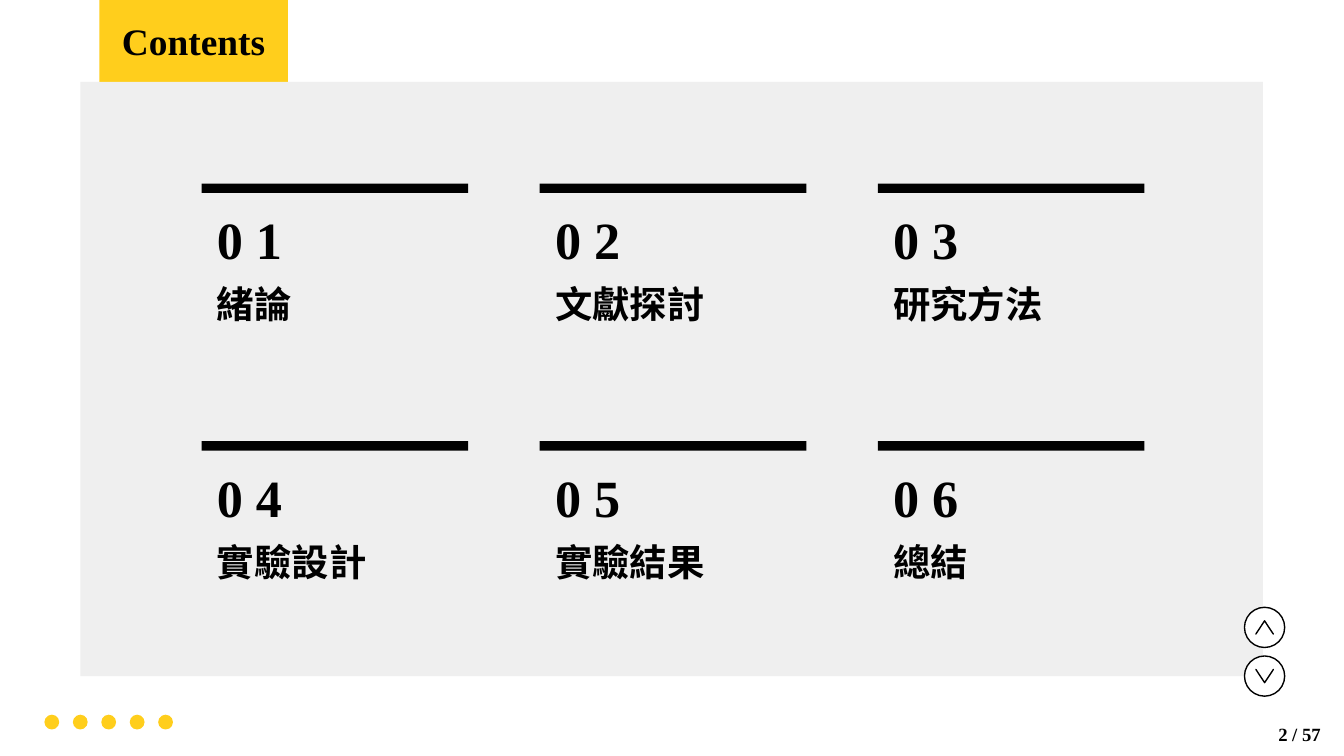
from pptx import Presentation
from pptx import util as u
from pptx.dml.color import RGBColor
from pptx.enum import shapes, text

COLORS = {"panel": "EFEFEF", "accent": "FFCE1C", "ink": "000000", "paper": "FFFFFF"}
FONT = "Times New Roman"
CHAPTERS = ["緒論", "文獻探討", "研究方法", "實驗設計", "實驗結果", "總結"]


def color(name):
    return RGBColor.from_string(COLORS[name])


def cm_box(box):
    return [u.Cm(length) for length in box]


def add_block(slide, kind, box, fill, outline=None):
    block = slide.shapes.add_shape(kind, *cm_box(box))
    block.shadow.inherit = False
    block.fill.solid()
    block.fill.fore_color.rgb = color(fill)
    if outline:
        block.line.color.rgb = color(outline)
        block.line.width = u.Pt(0.75)
    else:
        block.line.fill.background()
    return block


def write(holder, words, size, align=text.PP_ALIGN.LEFT,
          anchor=text.MSO_ANCHOR.TOP, inset=0.25, wrap=True):
    frame = holder.text_frame
    frame.word_wrap = wrap
    frame.auto_size = text.MSO_AUTO_SIZE.NONE
    frame.vertical_anchor = anchor
    frame.margin_left = frame.margin_right = u.Cm(0.25)
    frame.margin_top = frame.margin_bottom = u.Cm(inset)
    paragraph = frame.paragraphs[0]
    paragraph.alignment = align
    run = paragraph.add_run()
    run.text = words
    run.font.name = FONT
    run.font.size = u.Pt(size)
    run.font.bold = True
    run.font.color.rgb = color("ink")


def add_heading(slide, box):
    heading = slide.shapes.title
    heading.left, heading.top, heading.width, heading.height = cm_box(box)
    heading.fill.solid()
    heading.fill.fore_color.rgb = color("accent")
    write(heading, "Contents", 20, align=text.PP_ALIGN.CENTER,
          anchor=text.MSO_ANCHOR.MIDDLE)


def add_dots(slide, box, count=5):
    left, top, width, size = box
    step = (width - size) / (count - 1)
    for i in range(count):
        add_block(slide, shapes.MSO_SHAPE.OVAL,
                  (left + i * step, top, size, size), "accent")


def add_chapter(slide, box, number, name):
    left, top, width, height = box
    add_block(slide, shapes.MSO_SHAPE.RECTANGLE, (left, top, width, 0.18), "ink")
    number_box = slide.shapes.add_textbox(*cm_box((left + 0.04, top + 0.54, width, 1.35)))
    write(number_box, f"0 {number}", 28, anchor=text.MSO_ANCHOR.BOTTOM)
    name_box = slide.shapes.add_textbox(
        *cm_box((left + 0.04, top + 1.6, width, height - 1.6)))
    write(name_box, name, 20)


def add_chapters(slide, box, columns=3, rows=2):
    left, top, width, height = box
    cell_width, cell_height = 5.04, 4.04
    step_x = (width - cell_width) / (columns - 1)
    step_y = (height - cell_height) / (rows - 1)
    for i, name in enumerate(CHAPTERS):
        row, column = divmod(i, columns)
        cell = (left + column * step_x, top + row * step_y, cell_width, cell_height)
        add_chapter(slide, cell, i + 1, name)


def add_page_buttons(slide, box):
    left, top, size, height = box
    for y, turn in ((top, 270), (top + height - size, 90)):
        button = add_block(slide, shapes.MSO_SHAPE.ROUNDED_RECTANGLE,
                           (left, y, size, size), "paper", "ink")
        button.adjustments[0] = 0.5
        arrow_width, arrow_height = 0.25, 0.33
        arrow = add_block(slide, shapes.MSO_SHAPE.CHEVRON,
                          (left + (size - arrow_width) / 2, y + (size - arrow_height) / 2,
                           arrow_width, arrow_height), "ink", "ink")
        arrow.adjustments[0] = 2
        arrow.rotation = turn


def add_page_number(slide, box):
    page_number = slide.shapes.add_textbox(*cm_box(box))
    write(page_number, "2 / 57", 10, align=text.PP_ALIGN.CENTER, inset=0.13)


def main():
    deck = Presentation()
    deck.slide_width, deck.slide_height = u.Cm(25.4), u.Cm(14.29)
    slide = deck.slides.add_slide(deck.slide_layouts[5])
    add_block(slide, shapes.MSO_SHAPE.RECTANGLE, (1.52, 1.55, 22.35, 11.23), "panel")
    add_dots(slide, (0.84, 13.51, 2.43, 0.28))
    add_heading(slide, (1.88, 0, 3.56, 1.55))
    add_chapters(slide, (3.81, 3.47, 17.82, 8.91))
    add_page_buttons(slide, (23.52, 11.48, 0.76, 1.68))
    add_page_number(slide, (23.72, 13.54, 1.68, 0.69))
    deck.save("out.pptx")


if __name__ == "__main__":
    main()
